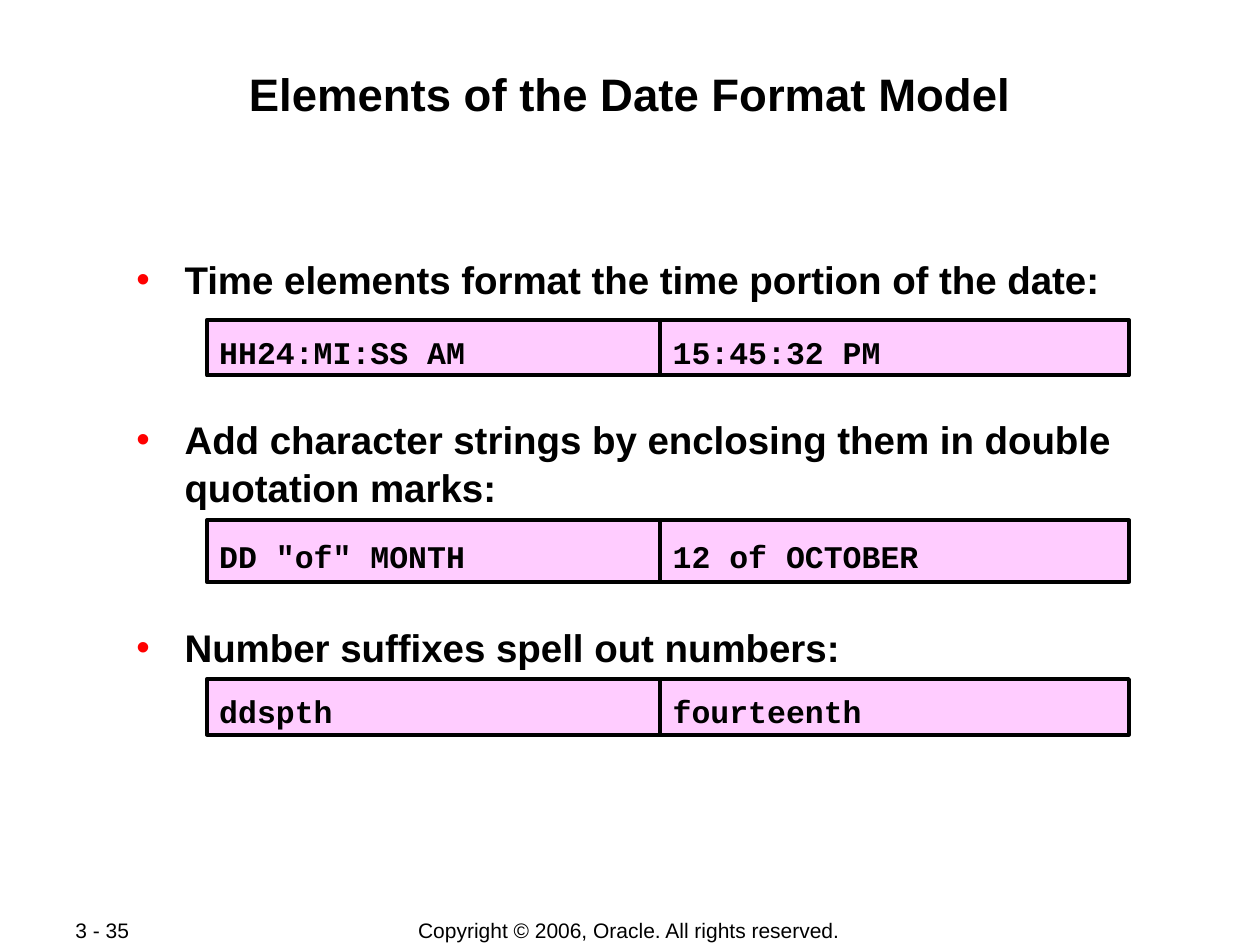
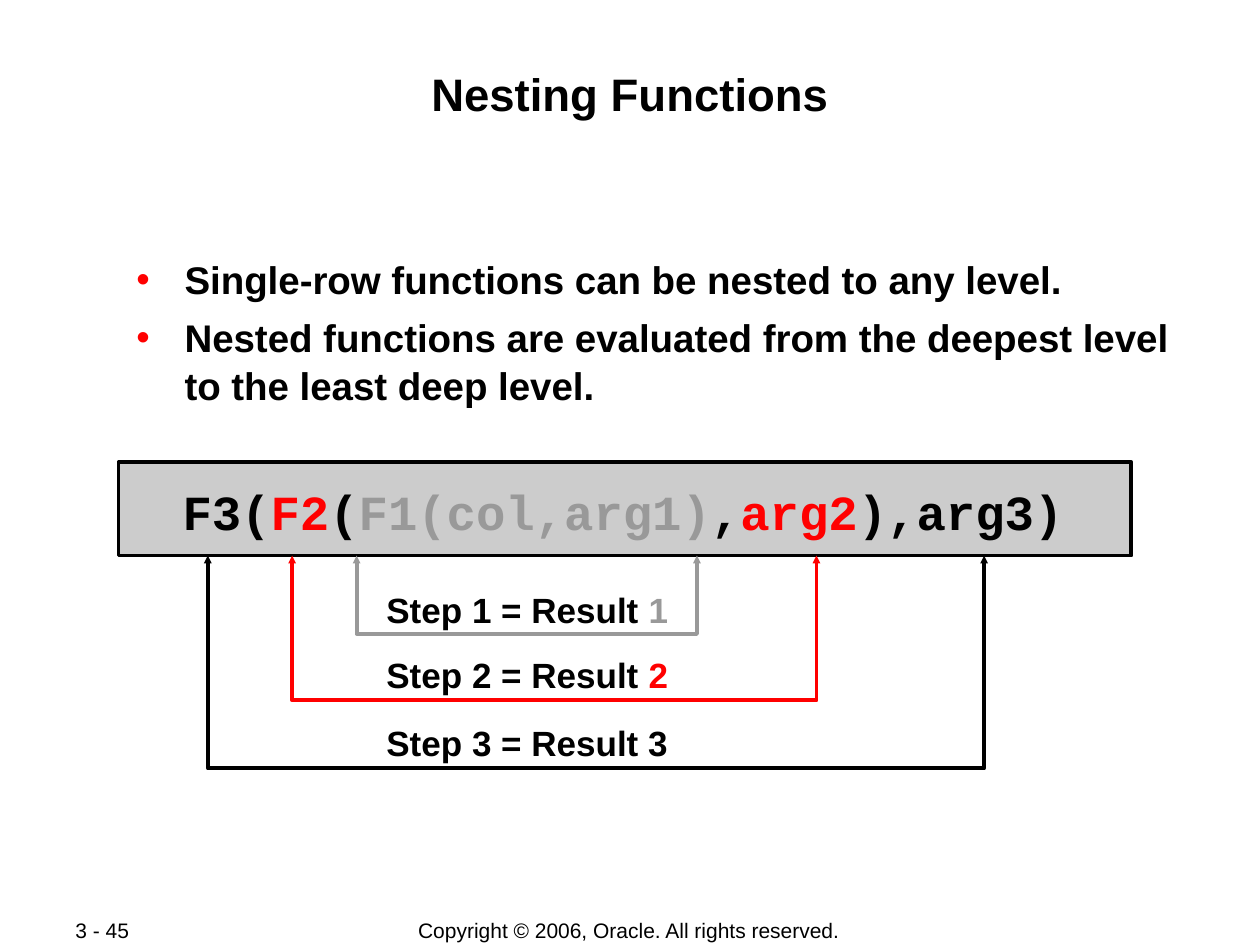
from lxml.etree import SubElement
from pptx import Presentation
from pptx.dml.color import RGBColor
from pptx.enum.shapes import MSO_SHAPE
from pptx.enum.text import MSO_ANCHOR, MSO_AUTO_SIZE, PP_ALIGN
from pptx.oxml.ns import qn
from pptx.util import Cm, Pt

BLACK, RED, GRAY = "000000", "FF0000", "999999"
PINK, SILVER = "FFCCFF", "CCCCCC"
SANS, MONO = "Arial", "Courier New"


def color(hex_code):
    return RGBColor.from_string(hex_code)


def add_run(paragraph, text, size, hex_code=BLACK, font=SANS, bold=True):
    run = paragraph.add_run()
    run.text = text
    run.font.name = font
    run.font.size = Pt(size)
    run.font.bold = bold
    run.font.color.rgb = color(hex_code)


presentation = Presentation()
presentation.slide_width, presentation.slide_height = Cm(25.4), Cm(19.05)

# Title, bullets and footer of each slide: (title, page, body size, gap, bullets)
outline = [
    ("Elements of the Date Format Model", "3 - 35", (20.47, 8.31), 64, [
        "Time elements format the time portion of the date:",
        "Add character strings by enclosing them in double quotation marks:",
        "Number suffixes spell out numbers:",
    ]),
    ("Nesting Functions", "3 - 45", (22, 3.05), 5.5, [
        "Single-row functions can be nested to any level.",
        "Nested functions are evaluated from the deepest level to the least deep level.",
    ]),
]
slides = []
for heading, page, (body_width, body_height), gap, bullets in outline:
    slide = presentation.slides.add_slide(presentation.slide_layouts[1])
    slides.append(slide)
    title, body = slide.shapes.title, slide.placeholders[1]
    title.left, title.top, title.width, title.height = Cm(1.7), Cm(1.22), Cm(22), Cm(2.44)
    body.left, body.top = Cm(2.39), Cm(5.05)
    body.width, body.height = Cm(body_width), Cm(body_height)
    for holder, top_margin in ((title, 0.12), (body, 0.08)):
        frame = holder.text_frame
        frame.auto_size = MSO_AUTO_SIZE.NONE
        frame.vertical_anchor = MSO_ANCHOR.TOP
        frame.margin_left = frame.margin_right = frame.margin_bottom = Cm(0.03)
        frame.margin_top = Cm(top_margin)

    heading_line = title.text_frame.paragraphs[0]
    heading_line.alignment = PP_ALIGN.CENTER
    add_run(heading_line, heading, 26)

    for number, bullet in enumerate(bullets):
        item = body.text_frame.add_paragraph() if number else body.text_frame.paragraphs[0]
        properties = item._p.get_or_add_pPr()
        properties.set("marL", str(Cm(1.3)))
        properties.set("indent", str(-Cm(0.97)))
        bullet_color = SubElement(properties, qn("a:buClr"))
        SubElement(bullet_color, qn("a:srgbClr"), val=RED)
        SubElement(properties, qn("a:buFont"), typeface=SANS)
        SubElement(properties, qn("a:buChar"), char="•")
        item.space_before = Pt(gap if number else 0)
        item.line_spacing = 1.04
        add_run(item, bullet, 22)

    for text, left, width, alignment in (
        ("Copyright © 2006, Oracle. All rights reserved.", 6.98, 11.4, PP_ALIGN.CENTER),
        (page, 1.27, 2.69, PP_ALIGN.LEFT),
    ):
        footer = slide.shapes.add_textbox(Cm(left), Cm(18.49), Cm(width), Cm(0.52)).text_frame
        footer.word_wrap = True
        footer.vertical_anchor = MSO_ANCHOR.MIDDLE
        footer.paragraphs[0].alignment = alignment
        add_run(footer.paragraphs[0], text, 12, bold=False)

date_slide, nesting_slide = slides

# Date formats, each beside its result
examples = [
    (6.45, 1.12, "HH24:MI:SS AM", "15:45:32 PM"),
    (10.49, 1.24, 'DD "of" MONTH', "12 of OCTOBER"),
    (13.69, 1.12, "ddspth", "fourteenth"),
]
for top, height, date_format, result in examples:
    for left, text in ((4.17, date_format), (13.31, result)):
        cell = date_slide.shapes.add_shape(
            MSO_SHAPE.RECTANGLE, Cm(left), Cm(top), Cm(9.45), Cm(height))
        cell.shadow.inherit = False
        cell.fill.solid()
        cell.fill.fore_color.rgb = color(PINK)
        cell.line.color.rgb = color(BLACK)
        cell.line.width = Pt(2.25)
        cell.text_frame.margin_top, cell.text_frame.margin_bottom = Cm(0.18), 0
        cell.text_frame.vertical_anchor = MSO_ANCHOR.MIDDLE
        cell.text_frame.paragraphs[0].alignment = PP_ALIGN.LEFT
        add_run(cell.text_frame.paragraphs[0], text, 18, font=MONO)

# Nested call on its band
band = nesting_slide.shapes.add_shape(
    MSO_SHAPE.RECTANGLE, Cm(2.39), Cm(9.32), Cm(20.42), Cm(1.88))
band.shadow.inherit = False
band.fill.solid()
band.fill.fore_color.rgb = color(SILVER)
band.line.color.rgb = color(BLACK)
band.line.width = Pt(2.25)

call = nesting_slide.shapes.add_textbox(Cm(3.43), Cm(9.78), Cm(18.26), Cm(1.04)).text_frame
call.word_wrap = True
call.vertical_anchor = MSO_ANCHOR.MIDDLE
for part, part_color in (
    ("F3(", BLACK), ("F2", RED), ("(", BLACK), ("F1(col,arg1)", GRAY),
    (",", BLACK), ("arg2", RED), ("),arg3)", BLACK),
):
    add_run(call.paragraphs[0], part, 28, part_color, MONO)

# Evaluation steps: bracket under the call and its label
steps = [
    ("3", BLACK, 4.19, 19.84, 15.49, 14.35),
    ("2", RED, 5.89, 16.46, 14.12, 12.98),
    ("1", GRAY, 7.19, 14.05, 12.78, 11.66),
]
for step, step_color, left, right, bottom, label_top in steps:
    outline_builder = nesting_slide.shapes.build_freeform(Cm(left), Cm(11.2))
    outline_builder.add_line_segments(
        [(Cm(left), Cm(bottom)), (Cm(right), Cm(bottom)), (Cm(right), Cm(11.2))], close=False)
    bracket = outline_builder.convert_to_shape()
    bracket.shadow.inherit = False
    bracket.fill.background()
    bracket.line.color.rgb = color(step_color)
    bracket.line.width = Pt(2.25)
    for end in ("a:headEnd", "a:tailEnd"):
        SubElement(bracket.line._get_or_add_ln(), qn(end), type="triangle", w="sm", len="sm")

    label = nesting_slide.shapes.add_textbox(
        Cm(7.54), Cm(label_top), Cm(6.2), Cm(1.09)).text_frame
    label.word_wrap = True
    label.margin_top = Cm(0.2)
    add_run(label.paragraphs[0], f"Step {step} = Result ", 20)
    add_run(label.paragraphs[0], step, 20, step_color)

presentation.save("out.pptx")
